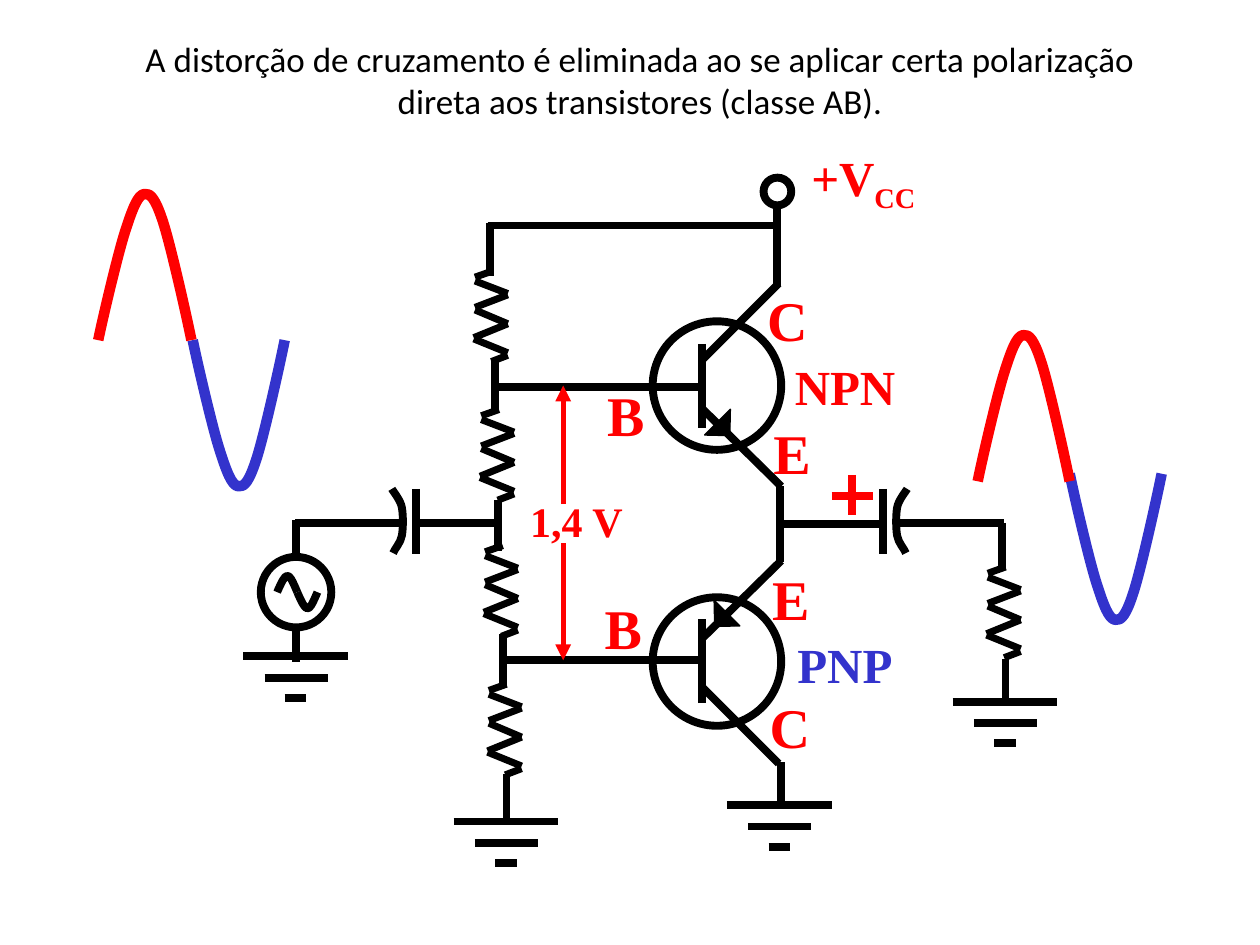
"""Build a slide with a class AB push-pull amplifier."""
from dataclasses import dataclass

from lxml.etree import SubElement
from pptx import Presentation
from pptx.dml.color import RGBColor as RGB
from pptx.enum.shapes import MSO_CONNECTOR as CONN, MSO_SHAPE as SHAPE
from pptx.enum.text import MSO_AUTO_SIZE as FIT, PP_ALIGN as ALIGN
from pptx.oxml.ns import qn
from pptx.util import Pt

PX = 9144
HALF_WAVE = [(0, 0), (3, 15), (15, 67), (21, 86), (27, 105), (31, 115), (36, 116),
             (41, 117), (45, 112), (51, 93), (57, 74), (69, 20), (73, 0)]
PLATE = [(9, 0), (8, 2), (2, 9), (1, 15), (0, 21), (0, 31), (1, 37),
         (2, 43), (7, 48), (8, 51)]
ZIGZAG = [(27, 18, 1, 8), (27, 42, 1, 31), (27, 65, 0, 54), (0, 53, 27, 42),
          (1, 29, 27, 19), (1, 5, 15, 0), (14, 72, 27, 67)]


@dataclass(frozen=True)
class Theme:
    ink: str = "000000"
    red: str = "FF0000"
    blue: str = "3333CC"
    title_font: str = "Calibri"
    label_font: str = "Times New Roman"
    title: int = 20
    volts: int = 24
    label: int = 28
    pin: int = 32
    wire: float = 4.5
    zigzag: float = 4
    wave: float = 6
    arrow: float = 3


class Circuit:
    def __init__(self, s, theme):
        self.s, self.th = s, theme

    def stroke(self, sp, color, width):
        sp.line.color.rgb = RGB.from_string(color)
        sp.line.width = Pt(width)

    def wire(self, x1, y1, x2, y2, color=None, width=None, arrow=False):
        sp = self.s.shapes.add_connector(CONN.STRAIGHT, x1 * PX, y1 * PX, x2 * PX, y2 * PX)
        self.stroke(sp, color or self.th.ink, width or self.th.wire)
        if arrow:
            SubElement(sp.line._get_or_add_ln(), qn("a:tailEnd"), type="triangle")
        SubElement(sp._element.spPr, qn("a:effectLst"))

    def circle(self, x, y, d):
        sp = self.s.shapes.add_shape(SHAPE.OVAL, x * PX, y * PX, d * PX, d * PX)
        sp.shadow.inherit = False
        sp.fill.background()
        self.stroke(sp, self.th.ink, self.th.wire)

    def arrowhead(self, x, y, w, h, angle):
        sp = self.s.shapes.add_shape(SHAPE.RIGHT_TRIANGLE, x * PX, y * PX, w * PX, h * PX)
        sp.rotation = angle
        sp.shadow.inherit = False
        sp.fill.solid()
        sp.fill.fore_color.rgb = RGB.from_string(self.th.ink)
        self.stroke(sp, self.th.ink, 0.75)

    def curve(self, knots, color, width):
        pts = [(x * PX, y * PX) for x, y in knots]
        fb = self.s.shapes.build_freeform(*pts[0], scale=1.0)
        fb.add_line_segments(pts[1:], close=False)
        sp = fb.convert_to_shape()
        outline = next(sp._element.iter(qn("a:path")))
        lines = outline.findall(qn("a:lnTo"))
        for i in range(0, len(lines), 3):
            bezier = SubElement(outline, qn("a:cubicBezTo"))
            for line in lines[i:i + 3]:
                bezier.append(line[0])
                outline.remove(line)
        sp.shadow.inherit = False
        sp.fill.background()
        self.stroke(sp, color, width)

    def half_wave(self, x, y, w, h, color, width):
        self.curve([(x + dx * w / 73, y + dy * h / 117) for dx, dy in HALF_WAVE],
                   color, width)

    def plates(self, bar_x, arc_x, side):
        self.wire(bar_x, 388, bar_x, 440)
        self.curve([(arc_x + side * dx, 388 + dy) for dx, dy in PLATE],
                   self.th.ink, self.th.wire)

    def resistor(self, x, y):
        for x1, y1, x2, y2 in ZIGZAG:
            self.wire(x + x1, y + y1, x + x2, y + y2, width=self.th.zigzag)

    def ground(self, x, y):
        for dx, dy, w in ((0, 0, 83), (17, 17, 50), (33, 33, 17)):
            self.wire(x + dx, y + dy, x + dx + w, y + dy)

    def transistor(self, mid, side, base_x):
        self.wire(558, mid + side * 18, 620, mid + side * 79)
        self.wire(557, mid - side * 34, 557, mid + side * 33)
        self.circle(518, mid - 51 - side, 102)
        self.wire(557, mid - side * 21, 618, mid - side * 82)
        self.wire(557, mid, base_x, mid)

    def text(self, x, y, w, h, runs, size, color, font=None, bold=True, wrap=False, al=None):
        tf = self.s.shapes.add_textbox(x * PX, y * PX, w * PX, h * PX).text_frame
        tf.word_wrap = wrap
        tf.auto_size = FIT.SHAPE_TO_FIT_TEXT
        p = tf.paragraphs[0]
        p.alignment = al
        for words, baseline in runs:
            r = p.add_run()
            r.text = words
            r.font.name = font or self.th.label_font
            r.font.size = Pt(size)
            r.font.bold = bold
            r.font.color.rgb = RGB.from_string(color)
            if baseline:
                r._r.get_or_add_rPr().set("baseline", str(baseline * 1000))


def main():
    prs = Presentation()
    prs.slide_width, prs.slide_height = 1000 * PX, 750 * PX
    th = Theme()
    c = Circuit(prs.slides.add_slide(prs.slide_layouts[6]), th)

    c.transistor(307, 1, 396)
    c.arrowhead(559, 325, 21, 20, 271.3)
    c.transistor(524, -1, 398)
    c.arrowhead(567, 476, 20, 21, 358.7)

    for wire in ((619, 386, 619, 446), (617, 227, 617, 166), (620, 639, 620, 605),
                 (714, 415, 797, 415), (619, 416, 702, 416), (798, 557, 798, 523),
                 (795, 415, 795, 451), (317, 415, 234, 415), (235, 413, 235, 440),
                 (235, 498, 235, 525), (332, 415, 394, 415), (393, 286, 393, 326),
                 (389, 177, 389, 219), (395, 397, 395, 437), (399, 503, 399, 545),
                 (402, 614, 402, 655), (387, 179, 615, 179)):
        c.wire(*wire)
    for x, y in ((783, 450), (376, 215), (381, 325), (384, 433), (387, 543)):
        c.resistor(x, y)
    for x, y in ((577, 639), (756, 557), (193, 521), (360, 652)):
        c.ground(x, y)
    c.plates(701, 711, 1)
    c.plates(330, 320, -1)
    c.circle(606, 141, 22)
    c.circle(207, 442, 56)
    c.wire(660, 394, 693, 394, th.red)
    c.wire(676, 377, 676, 409, th.red)

    for x, y, w, h, color, width in (
            (220, 470, 16, -13, th.ink, th.wire), (236, 470, 16, 13, th.ink, th.wire),
            (153, 270, 73, 117, th.blue, th.wave), (78, 270, 74, -117, th.red, th.wave),
            (849, 376, 73, 117, th.blue, th.wave), (776, 382, 73, -117, th.red, th.wave)):
        c.half_wave(x, y, w, h, color, width)

    title = ("A distorção de cruzamento é eliminada ao se aplicar certa polarização "
             "direta aos transistores (classe AB).")
    c.text(75, 25, 866, 77, [(title, 0)], th.title, th.ink, th.title_font,
           bold=False, wrap=True, al=ALIGN.CENTER)
    for x, y, w, pin in ((599, 222, 52, "C"), (472, 297, 50, "B"), (604, 327, 50, "E"),
                         (603, 443, 50, "E"), (470, 466, 50, "B"), (601, 545, 52, "C")):
        c.text(x, y, w, 58, [(pin, 0)], th.pin, th.red)
    c.text(634, 112, 108, 52, [("+V", 0), ("CC", -25)], th.label, th.red)
    c.text(621, 278, 100, 52, [("NPN", 0)], th.label, th.red)
    c.text(623, 499, 97, 52, [("PNP", 0)], th.label, th.blue)
    c.text(411, 388, 94, 51, [("1,4 V", 0)], th.volts, th.red)
    c.wire(447, 400, 447, 306, th.red, th.arrow, arrow=True)
    c.wire(447, 431, 447, 524, th.red, th.arrow, arrow=True)
    prs.save("out.pptx")


if __name__ == "__main__":
    main()
